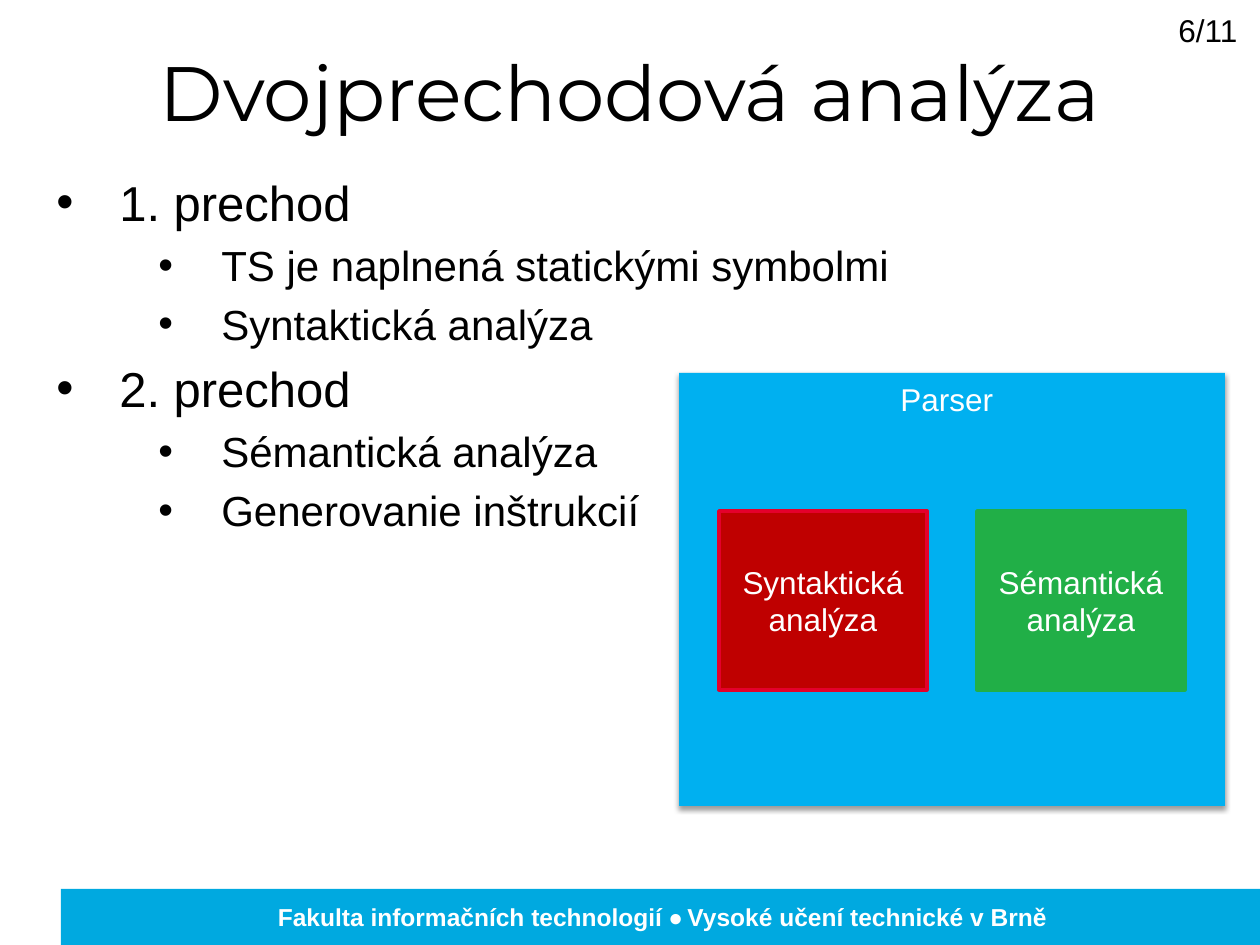
from lxml.etree import SubElement
from pptx import Presentation
from pptx.dml.color import RGBColor
from pptx.enum.shapes import MSO_SHAPE
from pptx.enum.text import MSO_ANCHOR, MSO_AUTO_SIZE, PP_ALIGN
from pptx.oxml import parse_xml
from pptx.oxml.ns import nsdecls, qn
from pptx.util import Pt

PX = 914400 / 126
COLORS = {"footer": "00A9E0", "panel": "00B0F0", "red": "BF0000",
          "red_line": "E4002B", "green": "21AF47", "white": "FFFFFF",
          "black": "000000"}
OUTLINE = [
    (0, "1. prechod"),
    (1, "TS je naplnená statickými symbolmi"),
    (1, "Syntaktická analýza"),
    (0, "2. prechod"),
    (1, "Sémantická analýza"),
    (1, "Generovanie inštrukcií"),
]
LEVELS = [(28, 63), (24, 165)]  # text size, left margin in px
HANGING = 63


def px(n):
    return round(n * PX)


def color(name):
    return RGBColor.from_string(COLORS[name])


def style(p, size, fill, align=PP_ALIGN.LEFT, font="Arial"):
    p.alignment = align
    p.font.size = Pt(size)
    p.font.name = font
    p.font.color.rgb = color(fill)


def add_rect(s, x, y, w, h, fill, line=None):
    sp = s.shapes.add_shape(MSO_SHAPE.RECTANGLE, px(x), px(y), px(w), px(h))
    sp.shadow.inherit = False
    sp.fill.solid()
    sp.fill.fore_color.rgb = color(fill)
    if line:
        sp.line.color.rgb = color(line)
        sp.line.width = Pt(2)
    else:
        sp.line.fill.background()
    return sp


def add_box(s, x, y, w, h, grow=True):
    tf = s.shapes.add_textbox(px(x), px(y), px(w), px(h)).text_frame
    tf.word_wrap = True
    if grow:
        tf.auto_size = MSO_AUTO_SIZE.SHAPE_TO_FIT_TEXT
    return tf


def add_label(s, x, y, w, h, text, fill):
    p = add_box(s, x, y, w, h).paragraphs[0]
    p.text = text
    style(p, 18, fill)


def add_footer(s, x, y, w, h):
    add_rect(s, x, y, w, h, "footer")
    p = add_box(s, x + 4, y + 7, w - 4, 43).paragraphs[0]
    for text, font in [("Fakulta informačních technologií ", "Arial"),
                       ("• ", "Calibri"),
                       ("Vysoké učení technické v Brně", "Arial")]:
        r = p.add_run()
        r.text = text
        r.font.name = font
    style(p, 14, "white", PP_ALIGN.CENTER)
    p.font.bold = True


def add_title(s, x, y, w, h, text):
    sp = s.shapes.title
    sp.left, sp.top, sp.width, sp.height = px(x), px(y), px(w), px(h)
    tf = sp.text_frame
    tf.text = text
    tf.auto_size = MSO_AUTO_SIZE.NONE
    tf.vertical_anchor = MSO_ANCHOR.TOP
    style(tf.paragraphs[0], 44, "black", PP_ALIGN.CENTER, "Montserrat")


def add_outline(s, x, y, w, h):
    tf = add_box(s, x, y, w, h, grow=False)
    for i, (level, text) in enumerate(OUTLINE):
        p = tf.paragraphs[0] if i == 0 else tf.add_paragraph()
        size, margin = LEVELS[level]
        p.text = text
        p.level = level
        style(p, size, "black")
        # Hanging bullet, with space before as a share of the line
        pPr = p._p.get_or_add_pPr()
        pPr.set("marL", str(px(margin)))
        pPr.set("indent", str(-px(HANGING)))
        before = parse_xml(f'<a:spcBef {nsdecls("a")}>'
                           '<a:spcPct val="20000"/></a:spcBef>')
        font = parse_xml(f'<a:buFont {nsdecls("a")} typeface="Arial"/>')
        char = parse_xml(f'<a:buChar {nsdecls("a")} char="•"/>')
        for n, el in enumerate((before, font, char)):
            pPr.insert(n, el)


def add_shadow(sp):
    effects = sp._element.spPr.find(qn("a:effectLst"))
    shadow = SubElement(effects, qn("a:outerShdw"), blurRad=str(Pt(3.1)),
                        dist=str(Pt(1.6)), dir="5400000", rotWithShape="0")
    clr = SubElement(shadow, qn("a:srgbClr"), val=COLORS["black"])
    SubElement(clr, qn("a:alpha"), val="38000")


def add_parser(s, x, y, w, h):
    add_shadow(add_rect(s, x, y, w, h, "panel"))
    add_label(s, x + 209, y + 1, 149, 50, "Parser", "white")
    # Analysis stages
    stages = [("Syntaktická analýza", "red", "red_line"),
              ("Sémantická analýza", "green", "green")]
    for i, (text, fill, line) in enumerate(stages):
        sp = add_rect(s, x + 40 + i * 258, y + 138, 208, 179, fill, line)
        tf = sp.text_frame
        tf.word_wrap = True
        tf.vertical_anchor = MSO_ANCHOR.MIDDLE
        tf.text = text
        style(tf.paragraphs[0], 18, "white", PP_ALIGN.CENTER)


def main():
    prs = Presentation()
    prs.slide_width, prs.slide_height = px(1260), px(945)
    s = prs.slides.add_slide(prs.slide_layouts[5])
    add_footer(s, 61, 889, 1199, 56)
    add_title(s, 63, 38, 1134, 157, "Dvojprechodová analýza")
    add_outline(s, 44, 166, 1134, 624)
    add_parser(s, 679, 373, 546, 433)
    # Page number
    add_label(s, 1166, 5, 154, 50, "6/11", "black")
    prs.save("out.pptx")


if __name__ == "__main__":
    main()
